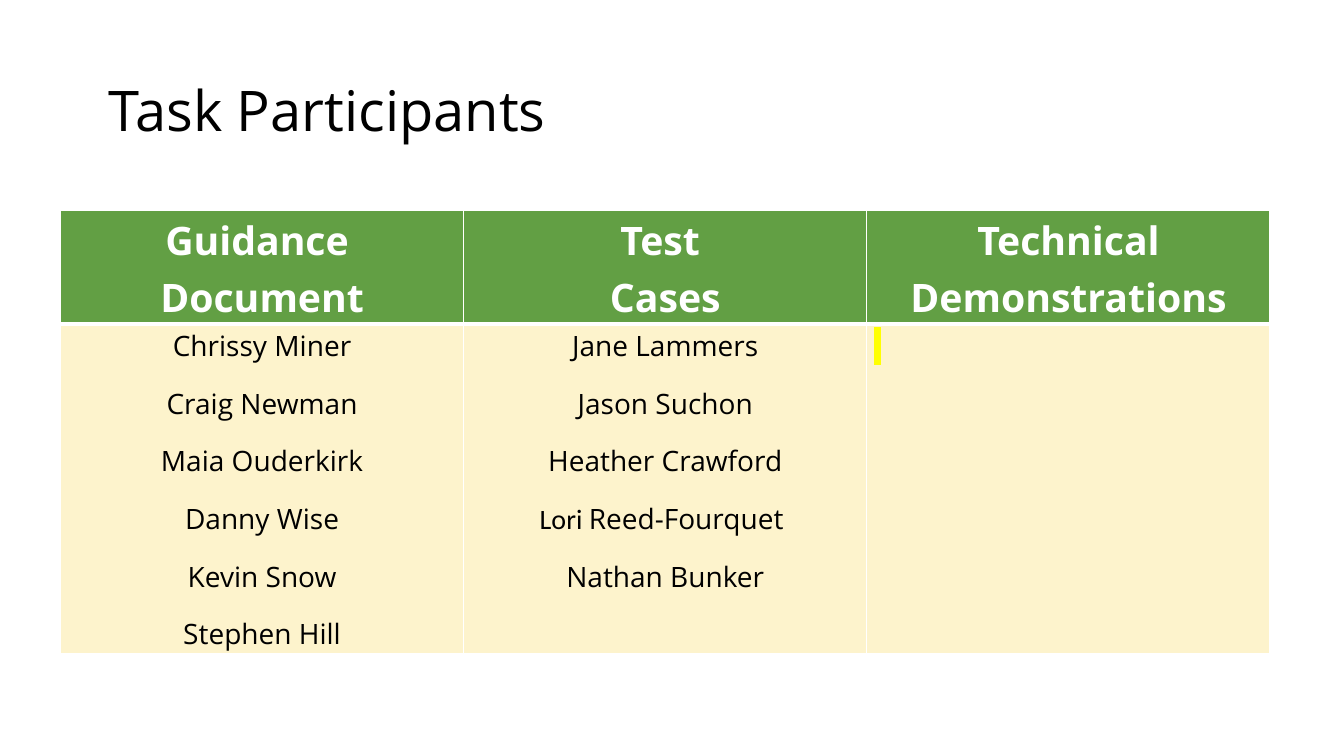
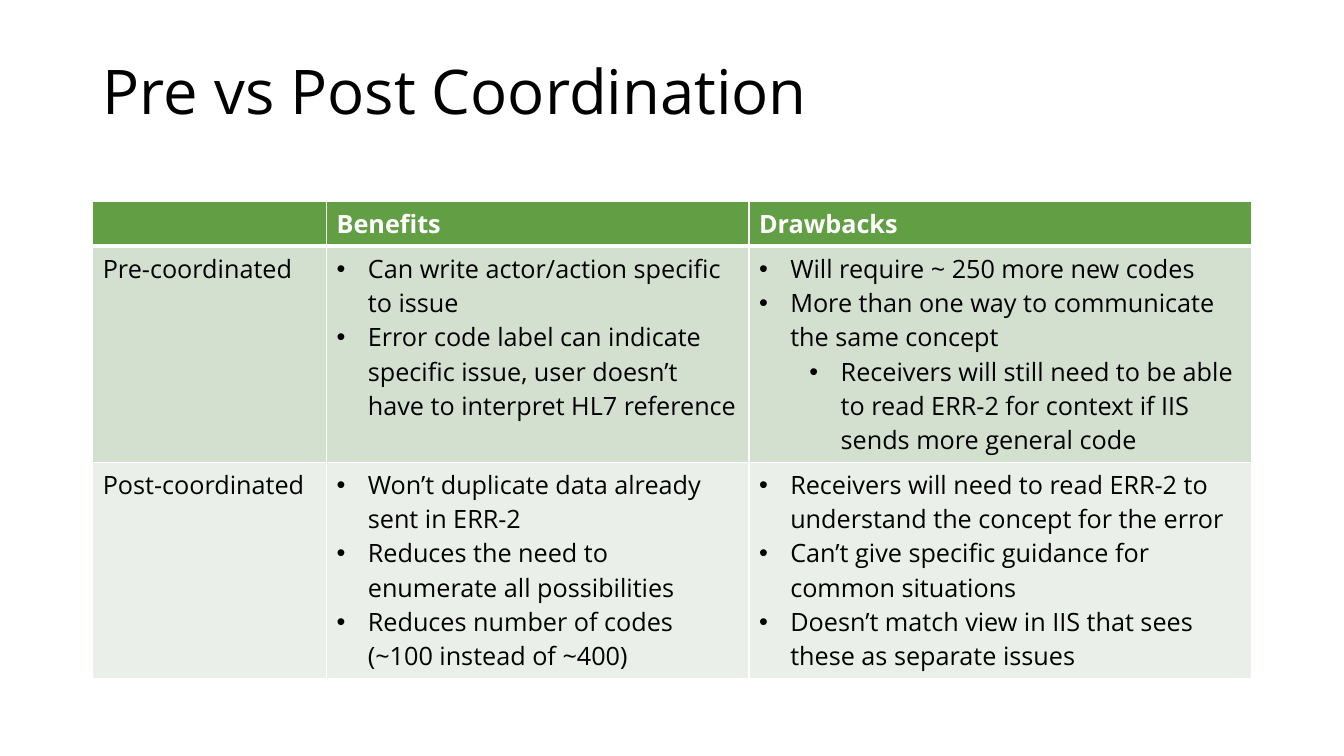
import pptx
import pptx.dml.color
import pptx.enum.text
import pptx.oxml
import pptx.oxml.ns
import pptx.util

RGBColor = pptx.dml.color.RGBColor
Alignment = pptx.enum.text.PP_ALIGN
Inches, Pt = pptx.util.Inches, pptx.util.Pt

BLACK = RGBColor(0x00, 0x00, 0x00)
WHITE = RGBColor(0xFF, 0xFF, 0xFF)
GREEN = RGBColor(0x62, 0x9F, 0x44)
CREAM = RGBColor(0xFD, 0xF3, 0xCC)
SAGE = RGBColor(0xD3, 0xDF, 0xCF)
PALE_SAGE = RGBColor(0xEA, 0xF0, 0xE9)
YELLOW = RGBColor(0xFF, 0xFF, 0x00)

FONT = "Open Sans"
SECOND_FONT = "Calibri"
SLIDE_WIDTH, SLIDE_HEIGHT = Inches(13.33), Inches(7.5)
# The grid has 100 columns and 100 rows.
COLUMN, ROW = SLIDE_WIDTH / 100, SLIDE_HEIGHT / 100
THIN, THICK = Pt(1), Pt(3)
BULLET_INDENT, LEVEL_INDENT = Inches(0.31), Inches(0.5)

CENTERED = {"alignment": Alignment.CENTER, "line_spacing": 1.07}
NAME_FORMAT = {**CENTERED, "space_after": Pt(12)}
NARROW_MARGINS = {"margin_left": Inches(0.07), "margin_right": Inches(0.07),
                  "margin_top": 0, "margin_bottom": 0}
HEADING_FONT = {"name": FONT, "bold": True}
BODY_FONT = {"name": FONT, "bold": False}

PARTICIPANT_HEADINGS = [["Guidance ", "Document"], ["Test ", "Cases"],
                        ["Technical Demonstrations"]]
GUIDANCE_NAMES = ["Chrissy Miner", "Craig Newman", "Maia Ouderkirk",
                  "Danny Wise", "Kevin Snow", "Stephen Hill"]
TEST_NAMES = ["Jane Lammers", "Jason Suchon", "Heather Crawford",
              [("Lori ", SECOND_FONT), ("Reed-Fourquet ", FONT)],
              "Nathan Bunker"]

# Each coordination row: label, benefits, drawbacks; a pair is (text, level).
COORDINATION_ROWS = [
    ("Pre-coordinated",
     ["Can write actor/action specific to issue",
      "Error code label can indicate specific issue, user doesn’t have to "
      "interpret HL7 reference"],
     ["Will require ~ 250 more new codes",
      "More than one way to communicate the same concept",
      ("Receivers will still need to be able to read ERR-2 for context if "
       "IIS sends more general code", 1)]),
    ("Post-coordinated",
     ["Won’t duplicate data already sent in ERR-2",
      "Reduces the need to enumerate all possibilities",
      "Reduces number of codes (~100 instead of ~400)"],
     ["Receivers will need to read ERR-2 to understand the concept for the "
      "error",
      "Can’t give specific guidance for common situations",
      "Doesn’t match view in IIS that sees these as separate issues"]),
]


def apply_format(target, values):
    for name, value in values.items():
        setattr(target, name, value)


def set_font(font, values, size, color):
    apply_format(font, {**values, "size": Pt(size)})
    font.color.rgb = color


def make_element(tag, **attributes):
    element = pptx.oxml.parse_xml(
        f"<a:{tag} {pptx.oxml.ns.nsdecls('a')}/>")
    for name, value in attributes.items():
        element.set(name, str(value))
    return element


def make_color_element(tag, color):
    element = make_element(tag)
    element.append(make_element("srgbClr", val=color))
    return element


def add_title_slide(presentation, title, left, top, width, height, size):
    """Add a title-only slide; the title's place is in grid units."""
    slide = presentation.slides.add_slide(presentation.slide_layouts[5])
    shape = slide.shapes.title
    apply_format(shape, {
        "left": round(left * COLUMN), "top": round(top * ROW),
        "width": round(width * COLUMN), "height": round(height * ROW)})
    frame = shape.text_frame
    frame.text = title
    apply_format(frame, {
        "word_wrap": True,
        "auto_size": pptx.enum.text.MSO_AUTO_SIZE.NONE,
        "vertical_anchor": pptx.enum.text.MSO_ANCHOR.MIDDLE})
    paragraph = frame.paragraphs[0]
    apply_format(paragraph, {"alignment": Alignment.LEFT,
                             "line_spacing": 0.9})
    set_font(paragraph.runs[0].font, {"name": FONT}, size, BLACK)
    return slide


def set_borders(cell, top, bottom):
    properties = cell._tc.get_or_add_tcPr()
    widths = {"lnL": THIN, "lnR": THIN, "lnT": top, "lnB": bottom}
    for position, (tag, width) in enumerate(widths.items()):
        line = make_element(tag, w=width)
        line.append(make_color_element("solidFill", WHITE))
        properties.insert(position, line)


def add_table(slide, left, top, widths, heights, row_fills):
    """Add a white-ruled table, one fill a row, with a thick header rule."""
    frame = slide.shapes.add_table(
        len(heights), len(widths), round(left * COLUMN), round(top * ROW),
        round(sum(widths) * COLUMN), round(sum(heights) * ROW))
    table = frame.table
    apply_format(table, {"first_row": False, "horz_banding": False})
    for column, width in zip(table.columns, widths):
        column.width = round(width * COLUMN)
    for index, (row, height, fill) in enumerate(
            zip(table.rows, heights, row_fills)):
        row.height = round(height * ROW)
        for cell in row.cells:
            cell.fill.solid()
            cell.fill.fore_color.rgb = fill
            set_borders(cell, THICK if index == 1 else THIN,
                        THICK if index == 0 else THIN)
    return table


def add_paragraphs(cell, items, font, size, color, paragraph_format=None):
    """Write items as paragraphs; a list item holds (text, font name) runs."""
    frame = cell.text_frame
    for index, item in enumerate(items):
        paragraph = frame.add_paragraph() if index else frame.paragraphs[0]
        apply_format(paragraph, paragraph_format or {})
        pieces = [(item, FONT)] if isinstance(item, str) else item
        for text, font_name in pieces:
            run = paragraph.add_run()
            run.text = text
            set_font(run.font, {**font, "name": font_name}, size, color)


def add_bullets(cell, items, size):
    pairs = [(item, 0) if isinstance(item, str) else item for item in items]
    add_paragraphs(cell, [text for text, _ in pairs], BODY_FONT, size, BLACK)
    for paragraph, (_, level) in zip(cell.text_frame.paragraphs, pairs):
        paragraph.level = level
        properties = paragraph._p.get_or_add_pPr()
        properties.set("marL", str(BULLET_INDENT + level * LEVEL_INDENT))
        properties.set("indent", str(-BULLET_INDENT))
        properties.append(make_element("buFont", typeface="Arial"))
        properties.append(make_element("buChar", char="•"))


def highlight(run, color):
    fill = run.font._element.find(pptx.oxml.ns.qn("a:solidFill"))
    fill.addnext(make_color_element("highlight", color))


def build_participants(presentation):
    slide = add_title_slide(presentation, "Task Participants",
                            7.35, 10, 64.65, 9.87, size=40)
    table = add_table(slide, 4.5, 27.8, [30] * 3, [14.9, 43.6],
                      [GREEN, CREAM])
    for cell in table.iter_cells():
        apply_format(cell, NARROW_MARGINS)
    for cell, heading in zip(table.rows[0].cells, PARTICIPANT_HEADINGS):
        add_paragraphs(cell, heading, HEADING_FONT, 28, WHITE, CENTERED)
    for cell, names in zip(table.rows[1].cells,
                           [GUIDANCE_NAMES, TEST_NAMES]):
        add_paragraphs(cell, names, BODY_FONT, 20, BLACK, NAME_FORMAT)
    open_cell = table.cell(1, 2)
    add_paragraphs(open_cell, [" "], BODY_FONT, 20, BLACK,
                   {"line_spacing": 1.07})
    highlight(open_cell.text_frame.paragraphs[0].runs[0], YELLOW)


def build_coordination(presentation):
    slide = add_title_slide(presentation, "Pre vs Post Coordination",
                            6.9, 5.33, 69, 14.4, size=44)
    table = add_table(slide, 6.9, 26.7, [17.4, 31.43, 37.43],
                      [5.6, 28.6, 28.6], [GREEN, SAGE, PALE_SAGE])
    for index, heading in enumerate(["Benefits", "Drawbacks"], start=1):
        add_paragraphs(table.cell(0, index), [heading], HEADING_FONT, 18,
                       WHITE)
    for index, (label, *lists) in enumerate(COORDINATION_ROWS, start=1):
        add_paragraphs(table.cell(index, 0), [label], BODY_FONT, 18, BLACK)
        for column, items in enumerate(lists, start=1):
            add_bullets(table.cell(index, column), items, 18)


def main():
    presentation = pptx.Presentation()
    apply_format(presentation, {"slide_width": SLIDE_WIDTH,
                                "slide_height": SLIDE_HEIGHT})
    build_participants(presentation)
    build_coordination(presentation)
    presentation.save("out.pptx")


if __name__ == "__main__":
    main()
